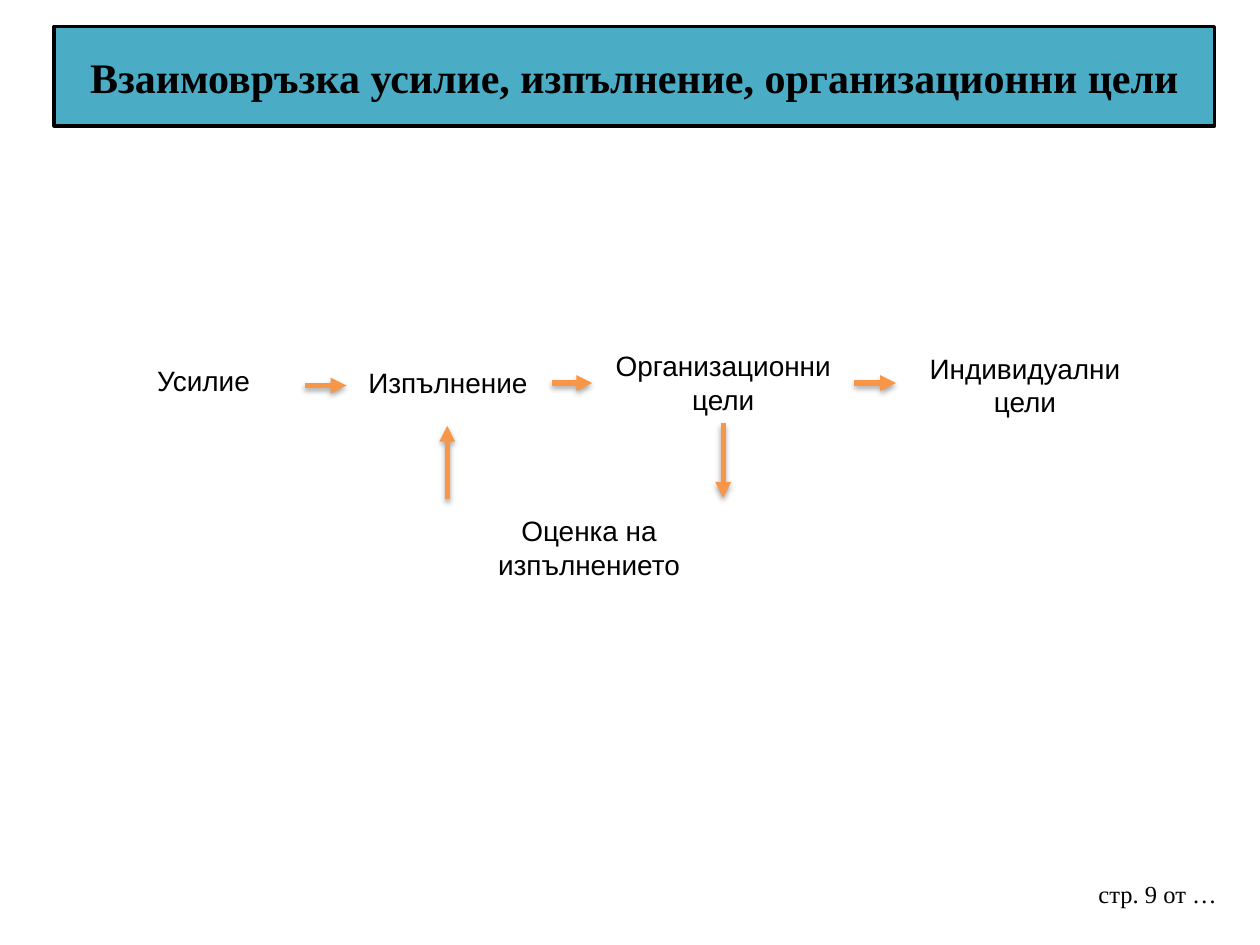
from lxml import etree
from pptx import Presentation
from pptx.dml.color import RGBColor
from pptx.enum.shapes import MSO_CONNECTOR
from pptx.enum.text import MSO_ANCHOR, PP_ALIGN
from pptx.oxml import parse_xml
from pptx.oxml.ns import qn
from pptx.util import Inches, Pt

STRAIGHT = MSO_CONNECTOR.STRAIGHT
LEFT, CENTER = PP_ALIGN.LEFT, PP_ALIGN.CENTER
MIDDLE = MSO_ANCHOR.MIDDLE

BLACK = RGBColor(0x00, 0x00, 0x00)
TEAL = RGBColor(0x4B, 0xAC, 0xC6)
ORANGE = RGBColor(0xF7, 0x96, 0x46)

SANS, SERIF = "Arial", "Times New Roman"
BOX_WIDTH = 1.81
ARROW_LENGTH = 0.33
SIDE_LEFT, SIDE_BOTTOM, SIDE_RIGHT = 1, 2, 3

NS = 'xmlns:a="http://schemas.openxmlformats.org/drawingml/2006/main"'
SHADOW = (f'<a:effectLst {NS}><a:outerShdw blurRad="{Pt(3.1)}" dist="{Pt(1.8)}" '
          'dir="5400000" rotWithShape="0"><a:srgbClr val="000000">'
          '<a:alpha val="35000"/></a:srgbClr></a:outerShdw></a:effectLst>')
ROUND_DIAGONAL = f'<a:prstGeom {NS} prst="round2DiagRect"><a:avLst/></a:prstGeom>'


def place(shape, left, top, width, height):
    shape.left, shape.top = Inches(left), Inches(top)
    shape.width, shape.height = Inches(width), Inches(height)


def write(tf, text, size=16, font=SANS, bold=False, align=CENTER):
    tf.word_wrap = True
    p = tf.paragraphs[0]
    p.alignment = align
    r = p.add_run()
    r.text = text
    r.font.size, r.font.name, r.font.bold = Pt(size), font, bold
    r.font.color.rgb = BLACK


def add_title(s, text):
    title = s.shapes.title
    place(title, 0.43, 0.21, 9.21, 0.79)
    title._element.spPr.append(parse_xml(ROUND_DIAGONAL))
    title.fill.solid()
    title.fill.fore_color.rgb = TEAL
    title.line.color.rgb = BLACK
    title.line.width = Pt(2)
    title.text_frame.vertical_anchor = MIDDLE
    write(title.text_frame, text, size=24, font=SERIF, bold=True)


def add_text(s, text, left, top, width, height, **fmt):
    box = s.shapes.add_textbox(Inches(left), Inches(top), Inches(width), Inches(height))
    write(box.text_frame, text, **fmt)
    return box


def add_arrow(s, x1, y1, x2, y2):
    arrow = s.shapes.add_connector(STRAIGHT, Inches(x1), Inches(y1), Inches(x2), Inches(y2))
    arrow.line.color.rgb = ORANGE
    arrow.line.width = Pt(3)
    etree.SubElement(arrow.line._get_or_add_ln(), qn("a:tailEnd"), type="triangle")
    arrow._element.spPr.append(parse_xml(SHADOW))
    return arrow


def add_right_arrow(s, x, y):
    return add_arrow(s, x, y, x + ARROW_LENGTH, y)


def main():
    prs = Presentation()
    prs.slide_width, prs.slide_height = Inches(10), Inches(7.5)
    s = prs.slides.add_slide(prs.slide_layouts[5])

    add_title(s, "Взаимовръзка усилие, изпълнение, организационни цели")

    add_text(s, "Усилие", 0.71, 2.84, BOX_WIDTH, 0.37)
    add_text(s, "Изпълнение", 2.65, 2.85, BOX_WIDTH, 0.37)
    goals = add_text(s, "Организационни цели", 4.7, 2.72, 2.08, 0.64)
    add_text(s, "Индивидуални цели", 7.23, 2.74, BOX_WIDTH, 0.64)
    add_text(s, "Оценка на изпълнението", 3.77, 4.03, BOX_WIDTH, 0.64)

    add_right_arrow(s, 2.42, 3.06)
    add_right_arrow(s, 4.38, 3.04).end_connect(goals, SIDE_LEFT)
    add_right_arrow(s, 6.78, 3.04).begin_connect(goals, SIDE_RIGHT)
    add_arrow(s, 5.74, 3.36, 5.74, 3.95).begin_connect(goals, SIDE_BOTTOM)
    add_arrow(s, 3.55, 3.96, 3.55, 3.38)

    add_text(s, "стр. 9 от …", 8.62, 6.93, 1.3, 0.52, size=14, font=SERIF, align=LEFT)

    prs.save("out.pptx")


if __name__ == "__main__":
    main()
